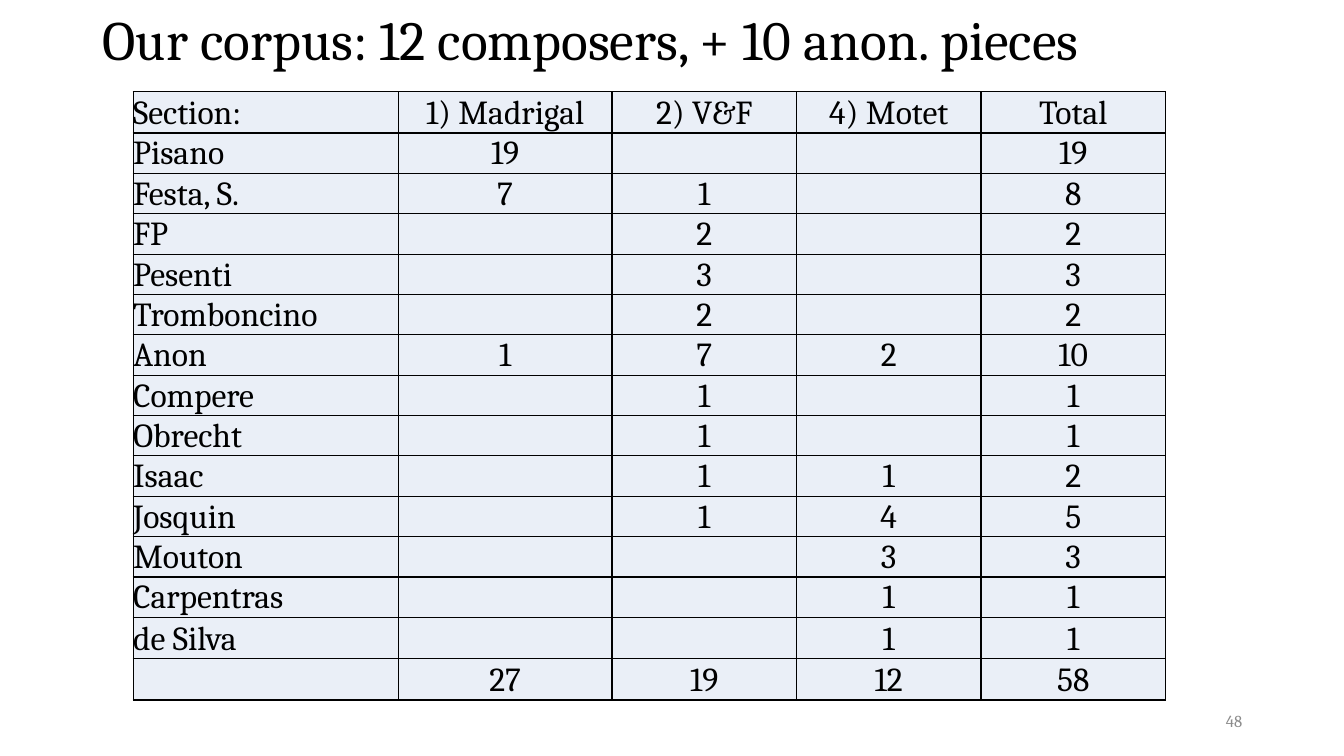
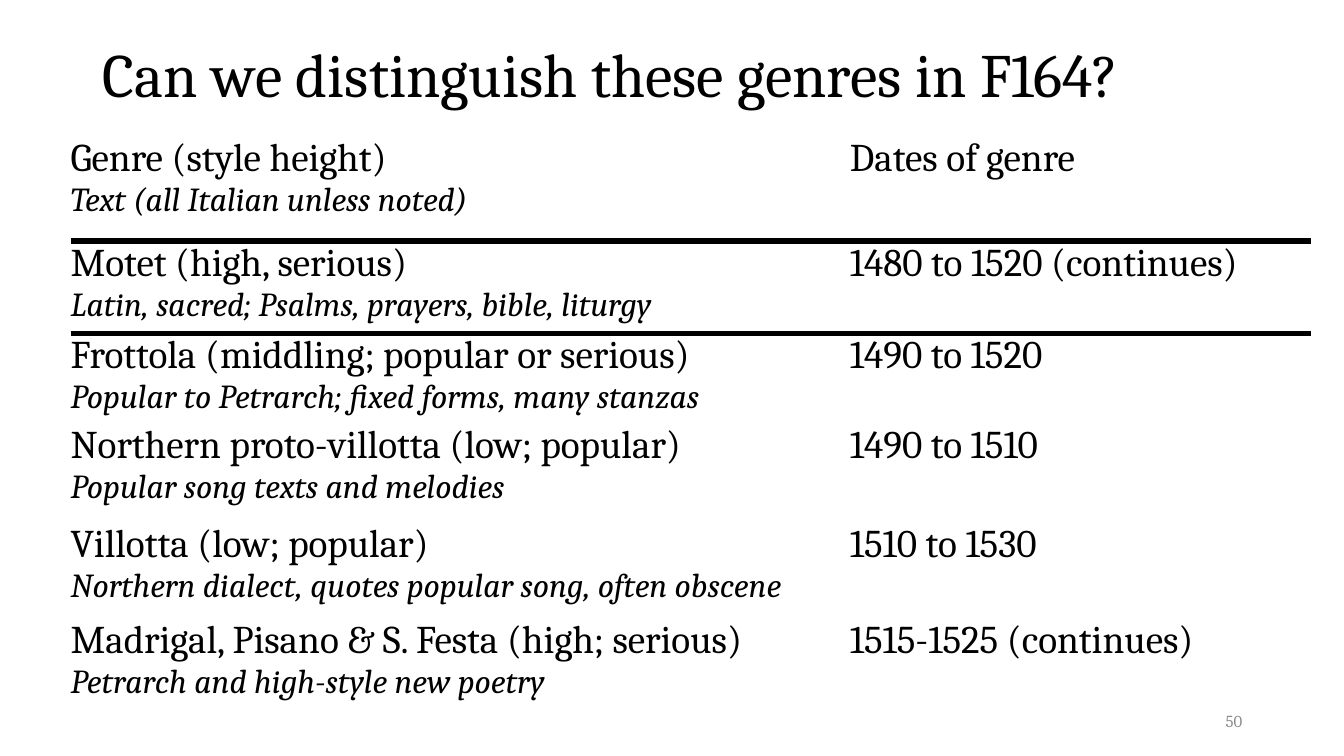
from dataclasses import dataclass
from typing import Optional

from lxml import etree
from pptx import Presentation
from pptx import util as u
from pptx.dml.color import RGBColor
from pptx.enum import text
from pptx.oxml import ns

PX = 9144  # EMU per px, 100 px to the inch
FONT = "Cambria"
HUES = {"ink": "000000", "grey": "8C8C8C", "pale": "EAEFF7"}
PLAIN = "{2D5ABB26-0587-4C30-8999-92F81FD0307C}"
LEFT, MID, RIGHT = text.PP_ALIGN.LEFT, text.PP_ALIGN.CENTER, text.PP_ALIGN.RIGHT
TOP, LOW = text.MSO_ANCHOR.TOP, text.MSO_ANCHOR.BOTTOM


@dataclass
class Box:
    x: int
    y: int
    w: int
    h: int


@dataclass
class Line:
    words: str
    size: float
    tilt: bool = False
    hue: str = "ink"


@dataclass
class Edge:
    sides: str
    width: float


def px(n: int) -> u.Emu:
    return u.Emu(n * PX)


def write(frame, lines: list[Line], align=LEFT, space: Optional[float] = None) -> None:
    frame.text = "\n".join(line.words for line in lines)
    for para, line in zip(frame.paragraphs, lines):
        para.alignment = align
        para.line_spacing = space
        for run in para.runs:
            run.font.name = FONT
            run.font.size = u.Pt(line.size)
            run.font.italic = line.tilt
            run.font.color.rgb = RGBColor.from_string(HUES[line.hue])


def label(slide, box: Box, line: Line, align=LEFT, space: Optional[float] = None) -> None:
    frame = slide.shapes.add_textbox(px(box.x), px(box.y), px(box.w), px(box.h)).text_frame
    frame.word_wrap = True
    frame.vertical_anchor = text.MSO_ANCHOR.MIDDLE
    write(frame, [line], align, space)


def page(deck, title: str, size: float, y: int, h: int, number: int):
    slide = deck.slides.add_slide(deck.slide_layouts[6])
    label(slide, Box(92, y, 1150, h), Line(title, size), space=0.9)
    label(slide, Box(942, 695, 300, 40), Line(str(number), 12, hue="grey"), RIGHT)
    return slide


def grid(slide, x: int, y: int, cols: list[int], rows: list[int]):
    frame = slide.shapes.add_table(
        len(rows), len(cols), px(x), px(y), px(sum(cols)), px(sum(rows)))
    table = frame.table
    table.first_row = table.horz_banding = False
    table._tbl.tblPr.find(ns.qn("a:tableStyleId")).text = PLAIN
    for col, wide in zip(table.columns, cols):
        col.width = px(wide)
    for row, high in zip(table.rows, rows):
        row.height = px(high)
    return table


def fill(cell, lines: list[Line], align=LEFT, anchor=TOP,
         edge: Optional[Edge] = None, hue: Optional[str] = None) -> None:
    cell.margin_left = cell.margin_right = cell.margin_top = cell.margin_bottom = 0
    cell.vertical_anchor = anchor
    write(cell.text_frame, lines, align)
    # Borders go ahead of the fill in the cell properties
    if edge:
        props = cell._tc.get_or_add_tcPr()
        for side in edge.sides:
            rule = etree.SubElement(props, ns.qn(f"a:ln{side}"), w=str(u.Pt(edge.width)))
            paint = etree.SubElement(rule, ns.qn("a:solidFill"))
            etree.SubElement(paint, ns.qn("a:srgbClr"), val=HUES["ink"])
    if hue:
        cell.fill.solid()
        cell.fill.fore_color.rgb = RGBColor.from_string(HUES[hue])
    else:
        cell.fill.background()


# Pieces by composer and section
CORPUS = [
    ("Section:", "1) Madrigal", "2) V&F", "4) Motet", "Total"),
    ("Pisano", "19", "", "", "19"),
    ("Festa, S.", "7", "1", "", "8"),
    ("FP", "", "2", "", "2"),
    ("Pesenti", "", "3", "", "3"),
    ("Tromboncino", "", "2", "", "2"),
    ("Anon", "1", "7", "2", "10"),
    ("Compere", "", "1", "", "1"),
    ("Obrecht", "", "1", "", "1"),
    ("Isaac", "", "1", "1", "2"),
    ("Josquin", "", "1", "4", "5"),
    ("Mouton", "", "", "3", "3"),
    ("Carpentras", "", "", "1", "1"),
    ("de Silva", "", "", "1", "1"),
    ("", "27", "19", "12", "58"),
]

# Genre, its texts, its dates
GENRES = [
    ("Genre (style height)", "Text (all Italian unless noted)", "Dates of genre"),
    ("Motet (high, serious)", "Latin, sacred; Psalms, prayers, bible, liturgy",
     "1480 to 1520 (continues)"),
    ("Frottola (middling; popular or serious)",
     "Popular to Petrarch; fixed forms, many stanzas", "1490 to 1520"),
    ("Northern proto-villotta (low; popular)", "Popular song texts and melodies",
     "1490 to 1510"),
    ("Villotta (low; popular)", "Northern dialect, quotes popular song, often obscene",
     "1510 to 1530"),
    ("Madrigal, Pisano & S. Festa (high; serious)", "Petrarch and high-style new poetry",
     "1515-1525 (continues)"),
]


def corpus(deck) -> None:
    slide = page(deck, "Our corpus: 12 composers, + 10 anon. pieces", 39.6, 8, 69, 48)
    rows = [41] + [40] * 12 + [41] * 2
    table = grid(slide, 132, 91, [263, 212, 183, 183, 183], rows)
    for r, row in enumerate(CORPUS):
        for c, words in enumerate(row):
            fill(table.cell(r, c), [Line(words, 24)], MID if c else LEFT, LOW,
                 Edge("LRTB", 1), "pale")


def genres(deck) -> None:
    slide = page(deck, "Can we distinguish these genres in F164?", 44, 23, 108, 50)
    table = grid(slide, 70, 135, [773, 457], [104, 92, 89, 98, 95, 104])
    # One heavy rule between the head and the body
    rules = {0: Edge("B", 4.5), 1: Edge("T", 4.5)}
    for r, (genre, verse, dates) in enumerate(GENRES):
        fill(table.cell(r, 0), [Line(genre, 28), Line(verse, 24, True)], edge=rules.get(r))
        fill(table.cell(r, 1), [Line(dates, 28)], edge=rules.get(r))


def main() -> None:
    deck = Presentation()
    deck.slide_width, deck.slide_height = px(1333), px(750)
    corpus(deck)
    genres(deck)
    deck.save("out.pptx")


if __name__ == "__main__":
    main()
